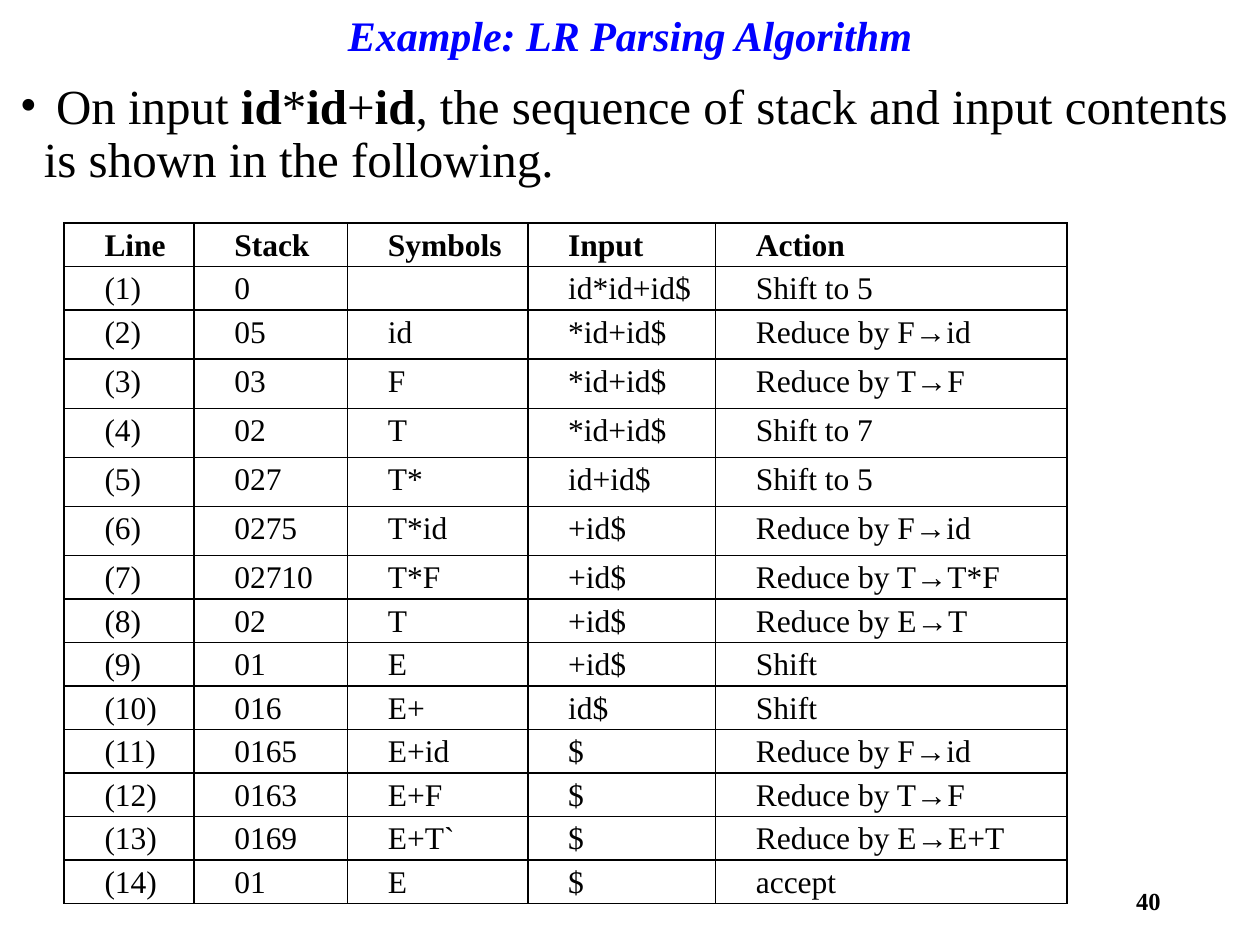
"""Build the slide that traces an LR parse of id*id+id in a table."""
from dataclasses import dataclass

from lxml.etree import SubElement
from pptx import Presentation
from pptx.dml.color import RGBColor
from pptx.enum.text import MSO_ANCHOR as Anchor, PP_ALIGN as Align
from pptx.oxml.ns import qn
from pptx.util import Inches, Pt


@dataclass(frozen=True)
class Theme:
    font: str = "Times New Roman"
    blue: str = "0000FF"
    black: str = "000000"
    title: int = 24
    body: int = 28
    cell: int = 18
    number: int = 14


theme = Theme()


def set_font(paragraph, size, color=theme.black, bold=None):
    font = paragraph.font
    font.name, font.size, font.bold = theme.font, Pt(size), bold
    font.color.rgb = RGBColor.from_string(color)


def add_box(left, top, width, height, anchor):
    frame = page.shapes.add_textbox(
        Inches(left), Inches(top), Inches(width), Inches(height)
    ).text_frame
    frame.word_wrap = True
    frame.vertical_anchor = anchor
    return frame.paragraphs[0]


deck = Presentation()
deck.slide_width, deck.slide_height = Inches(10), Inches(7.5)
page = deck.slides.add_slide(deck.slide_layouts[6])

title = add_box(0.69, 0, 8.62, 0.6, Anchor.MIDDLE)
title.text = "Example: LR Parsing Algorithm"
title.alignment = Align.CENTER
title.line_spacing = 0.9
set_font(title, theme.title, theme.blue, True)
title.font.italic = True

intro = add_box(0.06, 0.6, 9.88, 6.9, Anchor.TOP)
intro.line_spacing = 0.9
properties = intro._p.get_or_add_pPr()
properties.set("marL", str(Inches(0.19)))
properties.set("indent", str(-Inches(0.19)))
SubElement(properties, qn("a:buFont")).set("typeface", theme.font)
SubElement(properties, qn("a:buChar")).set("char", "•")
set_font(intro, theme.body)
for text, bold in (
    (" On input ", False),
    ("id", True),
    ("*", False),
    ("id", True),
    ("+", False),
    ("id", True),
    (", the sequence of stack and input contents is shown in the following.", False),
):
    span = intro.add_run()
    span.text = text
    span.font.bold = bold

number = add_box(7.06, 6.95, 2.25, 0.4, Anchor.MIDDLE)
number.text = "40"
number.alignment = Align.RIGHT
set_font(number, theme.number, bold=True)

steps = [
    ("Line", "Stack", "Symbols", "Input", "Action"),
    ("(1)", "0", "", "id*id+id$", "Shift to 5"),
    ("(2)", "05", "id", "*id+id$", "Reduce by F→id"),
    ("(3)", "03", "F", "*id+id$", "Reduce by T→F"),
    ("(4)", "02", "T", "*id+id$", "Shift to 7"),
    ("(5)", "027", "T*", "id+id$", "Shift to 5"),
    ("(6)", "0275", "T*id", "+id$", "Reduce by F→id"),
    ("(7)", "02710", "T*F", "+id$", "Reduce by T→T*F"),
    ("(8)", "02", "T", "+id$", "Reduce by E→T"),
    ("(9)", "01", "E", "+id$", "Shift"),
    ("(10)", "016", "E+", "id$", "Shift"),
    ("(11)", "0165", "E+id", "$", "Reduce by F→id"),
    ("(12)", "0163", "E+F", "$", "Reduce by T→F"),
    ("(13)", "0169", "E+T`", "$", "Reduce by E→E+T"),
    ("(14)", "01", "E", "$", "accept"),
]
widths = (1.03, 1.22, 1.43, 1.49, 2.79)
heights = [0.39 if 2 <= index <= 6 else 0.3 for index in range(len(steps))]

table = page.shapes.add_table(
    len(steps), len(widths), Inches(0.51), Inches(1.77),
    Inches(sum(widths)), Inches(sum(heights)),
).table
table.first_row = table.horz_banding = False
for column, width in zip(table.columns, widths):
    column.width = Inches(width)

for row_index, (row, height, step) in enumerate(zip(table.rows, heights, steps)):
    row.height = Inches(height)
    for cell, text in zip(row.cells, step):
        cell.margin_left = cell.margin_right = Inches(0.07)
        cell.margin_top = cell.margin_bottom = 0
        para = cell.text_frame.paragraphs[0]
        para.text = text
        para.line_spacing = 1.15
        para._p.get_or_add_pPr().set("marL", str(Inches(0.25)))
        set_font(para, theme.cell, bold=row_index == 0)
        cell_properties = cell._tc.get_or_add_tcPr()
        for side in ("a:lnL", "a:lnR", "a:lnT", "a:lnB"):
            border = SubElement(cell_properties, qn(side), w=str(Pt(1)))
            paint = SubElement(border, qn("a:solidFill"))
            SubElement(paint, qn("a:srgbClr"), val=theme.black)
        cell.fill.background()

deck.save("out.pptx")
